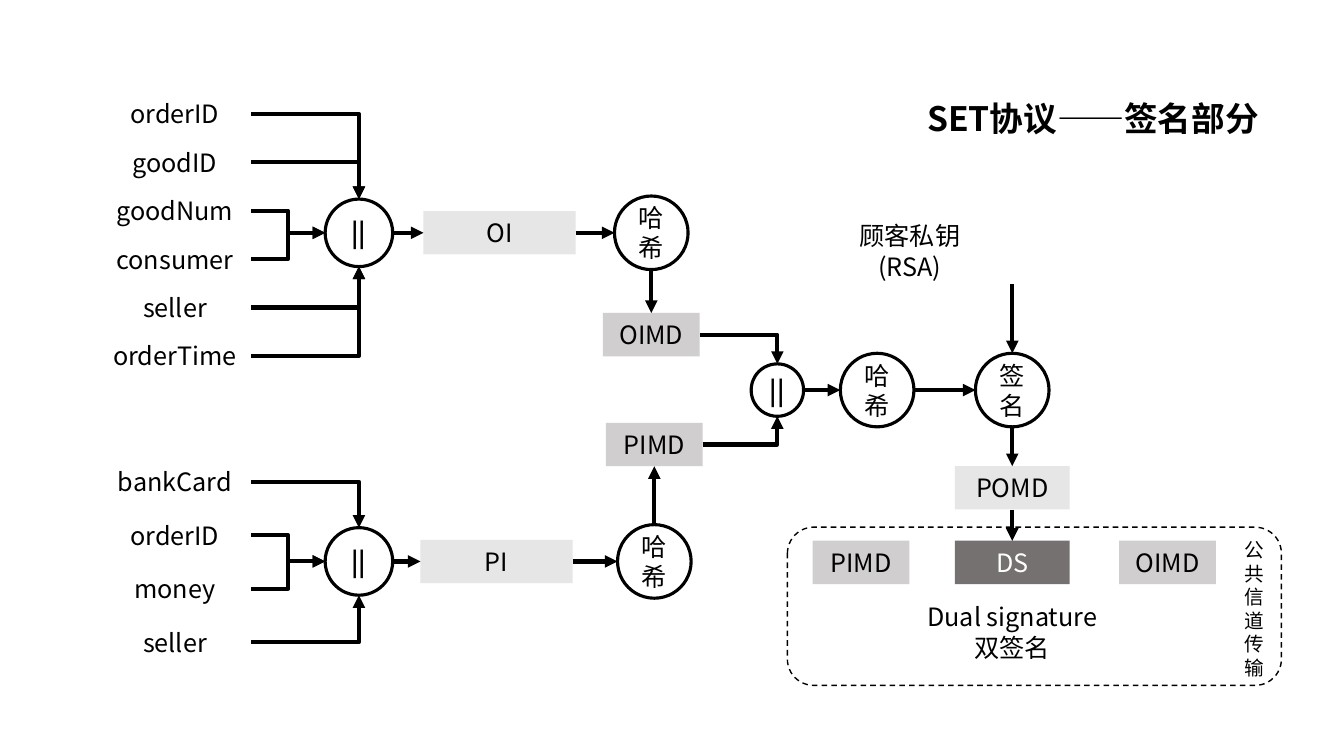
from dataclasses import dataclass

from lxml import etree
from pptx import Presentation
from pptx.dml.color import RGBColor
from pptx.enum.dml import MSO_LINE
from pptx.enum.shapes import MSO_CONNECTOR, MSO_SHAPE
from pptx.enum.text import MSO_ANCHOR, PP_ALIGN
from pptx.oxml.ns import qn
from pptx.util import Inches, Pt

RECT, OVAL, ROUNDED = MSO_SHAPE.RECTANGLE, MSO_SHAPE.OVAL, MSO_SHAPE.ROUNDED_RECTANGLE
STRAIGHT, ELBOW = MSO_CONNECTOR.STRAIGHT, MSO_CONNECTOR.ELBOW
DASH = MSO_LINE.DASH
CENTER, MIDDLE = PP_ALIGN.CENTER, MSO_ANCHOR.MIDDLE
TOP, LEFT, BOTTOM, RIGHT = range(4)


@dataclass(frozen=True)
class Theme:
    """Colours, font, type sizes and line widths of the diagram."""
    ink: RGBColor = RGBColor(0, 0, 0)
    white: RGBColor = RGBColor(255, 255, 255)
    pale: RGBColor = RGBColor(0xE7, 0xE6, 0xE6)
    grey: RGBColor = RGBColor(0xD0, 0xCE, 0xCE)
    dark: RGBColor = RGBColor(0x76, 0x71, 0x71)
    font: str = "Noto Sans CJK SC"
    body: Pt = Pt(18)
    small: Pt = Pt(14)
    title: Pt = Pt(24)
    arrow: Pt = Pt(3)
    outline: Pt = Pt(2.25)
    frame: Pt = Pt(1)


THEME = Theme()
BOX_HEIGHT = 0.43


def write(frame, lines, size=THEME.body, color=THEME.ink, bold=False):
    """Write centred lines, one paragraph each."""
    frame.word_wrap = True
    for index, line in enumerate(lines):
        paragraph = frame.add_paragraph() if index else frame.paragraphs[0]
        paragraph.alignment = CENTER
        run = paragraph.add_run()
        run.text = line
        run.font.name = THEME.font
        run.font.size = size
        run.font.bold = bold
        run.font.color.rgb = color
        east_asian = etree.Element(qn("a:ea"), typeface=THEME.font)
        run.font._element.find(qn("a:latin")).addnext(east_asian)


def add_box(slide, text, left, middle, width, fill, color=THEME.ink):
    """Add a filled box centred on a height."""
    box = slide.shapes.add_shape(RECT, Inches(left), Inches(middle - BOX_HEIGHT / 2),
                                 Inches(width), Inches(BOX_HEIGHT))
    box.shadow.inherit = False
    box.fill.solid()
    box.fill.fore_color.rgb = fill
    box.line.fill.background()
    box.text_frame.vertical_anchor = MIDDLE
    write(box.text_frame, [text], color=color)
    return box


def add_outline(slide, kind, left, top, width, height, weight):
    """Add an unfilled shape with a black outline."""
    shape = slide.shapes.add_shape(kind, Inches(left), Inches(top),
                                   Inches(width), Inches(height))
    shape.shadow.inherit = False
    shape.fill.background()
    shape.line.color.rgb = THEME.ink
    shape.line.width = weight
    return shape


def add_circle(slide, text, x, y, size=0.73, bold=False):
    """Add an operation circle around a centre point."""
    circle = add_outline(slide, OVAL, x - size / 2, y - size / 2, size, size, THEME.outline)
    circle.text_frame.vertical_anchor = MIDDLE
    write(circle.text_frame, [text], bold=bold)
    return circle


def add_note(slide, lines, left, top, width, height, size=THEME.body, bold=False):
    """Add free-standing text."""
    note = slide.shapes.add_textbox(Inches(left), Inches(top), Inches(width), Inches(height))
    write(note.text_frame, lines, size, bold=bold)


def side_point(shape, side):
    """Return the middle of one side of a shape."""
    across = {LEFT: 0, RIGHT: shape.width}.get(side, shape.width // 2)
    down = {TOP: 0, BOTTOM: shape.height}.get(side, shape.height // 2)
    return shape.left + across, shape.top + down


def draw_arrow(slide, kind, start, end):
    """Draw an arrow between two points."""
    arrow = slide.shapes.add_connector(kind, *start, *end)
    arrow.line.color.rgb = THEME.ink
    arrow.line.width = THEME.arrow
    etree.SubElement(arrow.line._get_or_add_ln(), qn("a:tailEnd"), type="triangle")
    etree.SubElement(arrow._element.spPr, qn("a:effectLst"))
    return arrow


def link(slide, source, source_side, target, target_side):
    """Join two shapes by a straight arrow."""
    arrow = draw_arrow(slide, STRAIGHT, side_point(source, source_side),
                       side_point(target, target_side))
    if source.auto_shape_type == RECT:
        arrow.begin_connect(source, source_side)
    if target.auto_shape_type == RECT:
        arrow.end_connect(target, target_side)


def bend(slide, source, target, target_side):
    """Lead a bent arrow from a box's right side into a circle."""
    arrow = draw_arrow(slide, ELBOW, side_point(source, RIGHT),
                       side_point(target, target_side))
    if target_side != LEFT:
        arrow._element.spPr.find(qn("a:prstGeom")).set("prst", "bentConnector2")


def add_fields(slide, names, entries, first, pitch, joiner):
    """Stack input fields and lead each into the joining circle."""
    for index, (name, entry) in enumerate(zip(names, entries)):
        field = add_box(slide, name, 0.98, first + index * pitch, 1.51, THEME.white)
        bend(slide, field, joiner, entry)


def add_branch(slide, name, y, box_left, hash_x, digest_y, leaving, arriving):
    """Add joiner, message, hash and digest; return joiner and digest."""
    joiner = add_circle(slide, "||", 3.56, y, 0.67, True)
    message = add_box(slide, name, box_left, y, 1.51, THEME.pale)
    hashing = add_circle(slide, "哈希", hash_x, y)
    digest = add_box(slide, name + "MD", hash_x - 0.48, digest_y, 0.96, THEME.grey)
    link(slide, joiner, RIGHT, message, LEFT)
    link(slide, message, RIGHT, hashing, LEFT)
    link(slide, hashing, leaving, digest, arriving)
    return joiner, digest


def add_signing(slide, order_digest, payment_digest):
    """Add the joined digest, the signature and the public channel."""
    joiner = add_circle(slide, "||", 7.71, 3.87, 0.52, True)
    bend(slide, order_digest, joiner, TOP)
    bend(slide, payment_digest, joiner, BOTTOM)
    hashing = add_circle(slide, "哈希", 8.7, 3.87)
    signing = add_circle(slide, "签名", 10.04, 3.87)
    signed = add_box(slide, "POMD", 9.47, 4.84, 1.14, THEME.pale)
    channel = add_outline(slide, ROUNDED, 7.81, 5.23, 4.9, 1.57, THEME.frame)
    channel.line.dash_style = DASH
    add_box(slide, "PIMD", 8.06, 5.58, 0.96, THEME.grey)
    signature = add_box(slide, "DS", 9.47, 5.58, 1.14, THEME.dark, THEME.white)
    add_box(slide, "OIMD", 11.1, 5.58, 0.96, THEME.grey)
    link(slide, joiner, RIGHT, hashing, LEFT)
    link(slide, hashing, RIGHT, signing, LEFT)
    link(slide, signing, BOTTOM, signed, TOP)
    link(slide, signed, BOTTOM, signature, TOP)
    draw_arrow(slide, STRAIGHT, (Inches(10.04), Inches(2.82)), side_point(signing, TOP))


def main():
    """Build the SET signing diagram."""
    deck = Presentation()
    deck.slide_width, deck.slide_height = Inches(13.33), Inches(7.5)
    slide = deck.slides.add_slide(deck.slide_layouts[6])

    order_joiner, order_digest = add_branch(
        slide, "OI", 2.31, 4.2, 6.46, 3.32, BOTTOM, TOP)
    add_fields(slide, ["orderID", "goodID", "goodNum", "consumer", "seller", "orderTime"],
               [TOP, TOP, LEFT, LEFT, BOTTOM, BOTTOM], 1.13, 0.48, order_joiner)
    payment_joiner, payment_digest = add_branch(
        slide, "PI", 5.57, 4.17, 6.49, 4.41, TOP, BOTTOM)
    add_fields(slide, ["bankCard", "orderID", "money", "seller"],
               [TOP, LEFT, LEFT, BOTTOM], 4.78, 0.53, payment_joiner)
    add_signing(slide, order_digest, payment_digest)

    add_note(slide, ["顾客私钥", "(RSA)"], 8.31, 2.14, 1.43, 0.71)
    add_note(slide, ["Dual signature", "双签名"], 8.64, 5.92, 2.8, 0.71)
    add_note(slide, ["公共信道传输"], 12.17, 5.29, 0.54, 1.51, THEME.small)
    add_note(slide, ["SET协议——签名部分"], 9.02, 0.92, 3.64, 0.5, THEME.title, True)
    deck.save("out.pptx")


if __name__ == "__main__":
    main()
